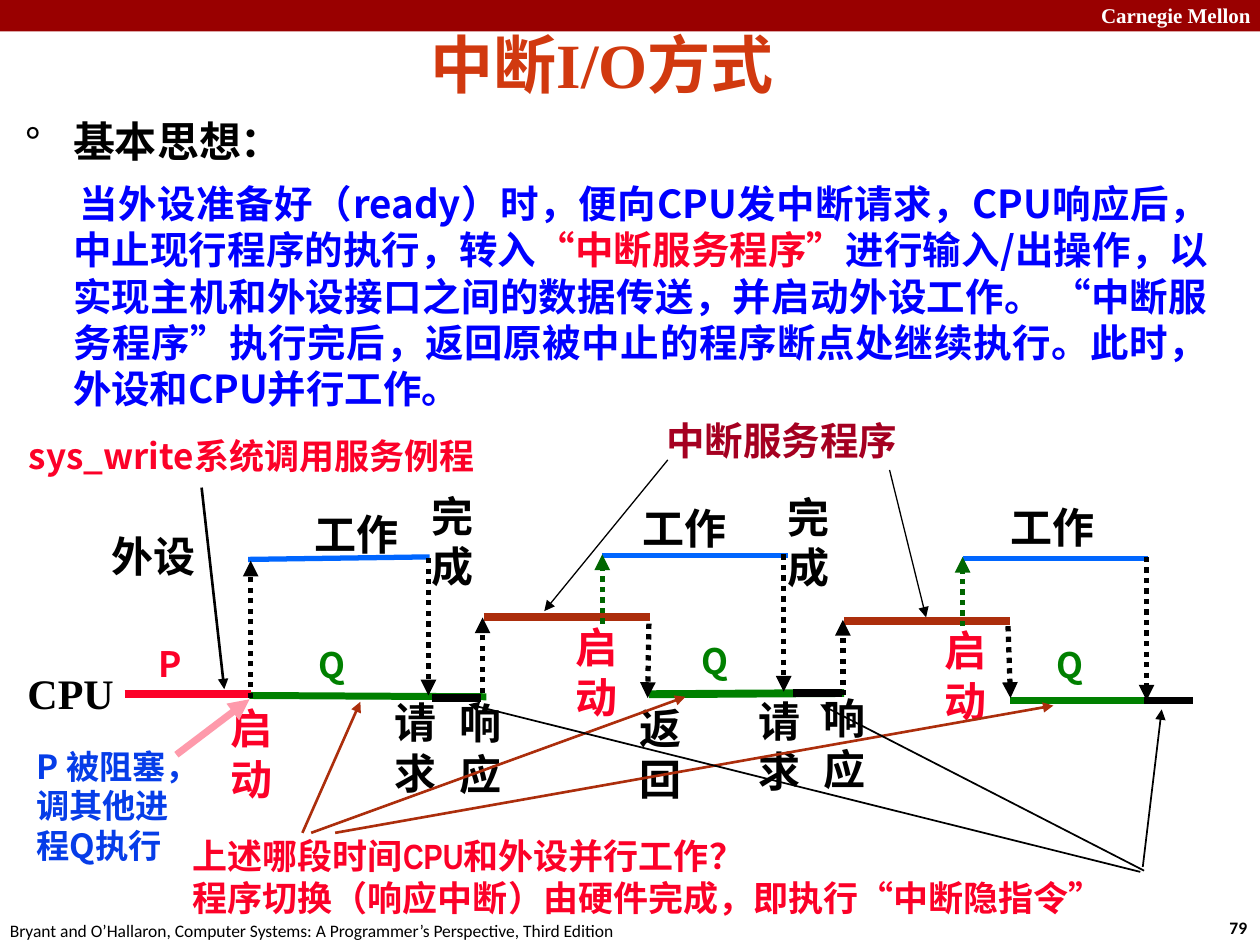
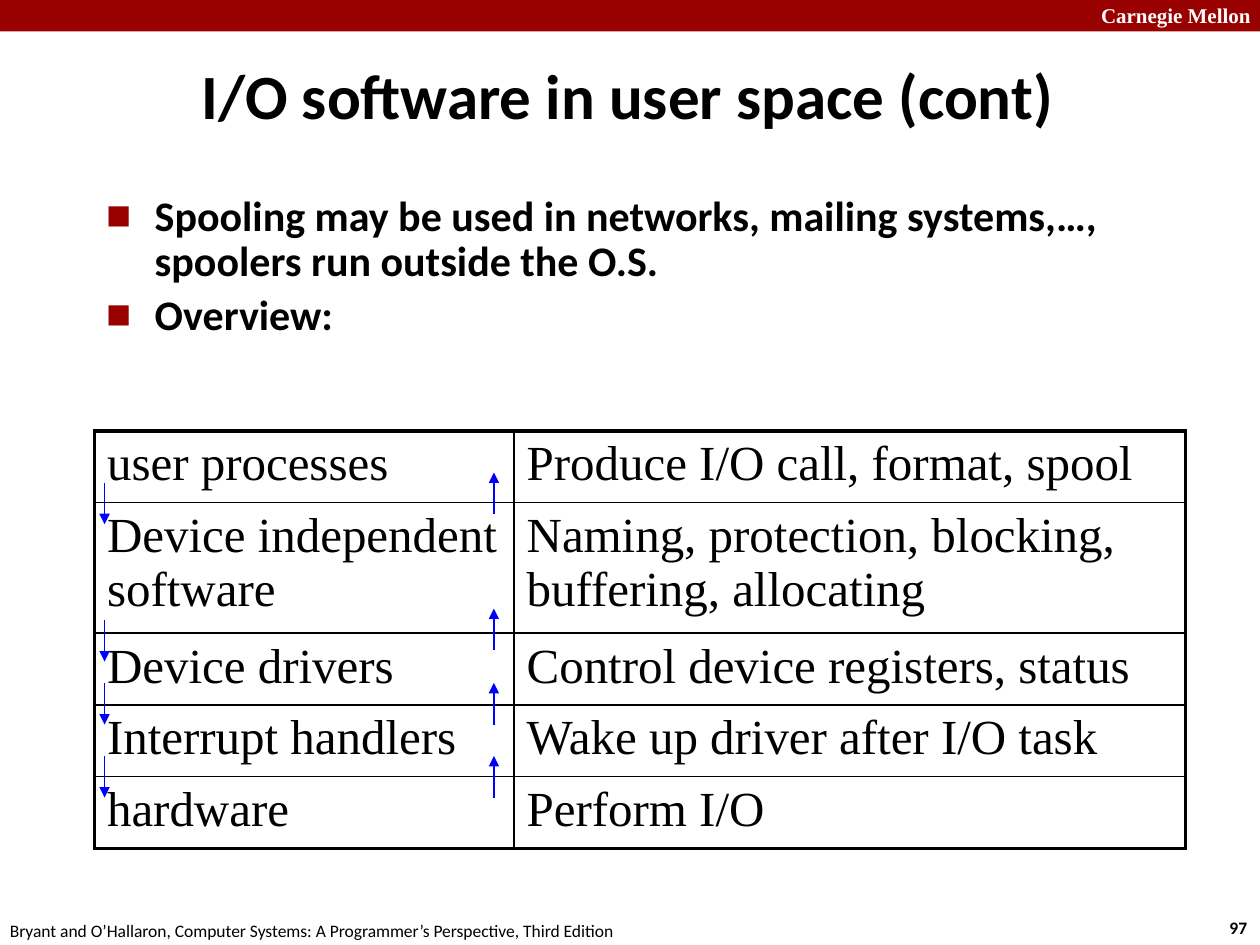
from dataclasses import dataclass

from lxml import etree
from pptx import Presentation
from pptx.dml.color import RGBColor
from pptx.enum.dml import MSO_LINE
from pptx.enum.shapes import MSO_CONNECTOR, MSO_SHAPE
from pptx.enum.text import MSO_ANCHOR, PP_ALIGN
from pptx.oxml.ns import qn
from pptx.util import Inches, Pt

STRAIGHT = MSO_CONNECTOR.STRAIGHT
RECTANGLE = MSO_SHAPE.RECTANGLE
DOTTED = MSO_LINE.ROUND_DOT
TOP, MIDDLE = MSO_ANCHOR.TOP, MSO_ANCHOR.MIDDLE
JUSTIFY = PP_ALIGN.JUSTIFY


@dataclass(frozen=True)
class Theme:
    band: str = "990000"
    white: str = "FFFFFF"
    black: str = "000000"
    title: str = "D1390F"
    red: str = "FC0128"
    blue: str = "0000FF"
    device: str = "0066FF"
    note: str = "063DE8"
    green: str = "008000"
    restart: str = "006600"
    service: str = "AC2E0C"
    service_label: str = "A50021"
    pink: str = "FE9AAB"
    serif: str = "Times New Roman"
    sans: str = "Calibri"
    narrow: str = "Arial Narrow"
    cjk: str = "Noto Sans CJK SC"
    title_size: float = 36
    table_size: float = 28
    label_size: float = 24
    body_size: float = 22
    caption_size: float = 20
    note_size: float = 19
    brand_size: float = 12
    footer_size: float = 10


THEME = Theme()


# Text
def add_run(paragraph, words, size, color, font, bold=True):
    run = paragraph.add_run()
    run.text = words
    run.font.size = Pt(size)
    run.font.bold = bold
    run.font.name = font
    run.font.color.rgb = RGBColor.from_string(color)
    latin = run.font._element.find(qn("a:latin"))
    east_asian = etree.Element(qn("a:ea"), typeface=THEME.cjk)
    latin.addnext(east_asian)


def add_frame(slide, box, anchor=TOP, wrap=True):
    frame = slide.shapes.add_textbox(*map(Inches, box)).text_frame
    frame.word_wrap = wrap
    frame.vertical_anchor = anchor
    return frame


def next_paragraph(frame):
    first = frame.paragraphs[0]
    return frame.add_paragraph() if first.runs else first


def add_label(slide, box, lines, size=THEME.label_size, color=THEME.black,
              font=THEME.serif, bold=True, anchor=TOP, wrap=True):
    frame = add_frame(slide, box, anchor, wrap)
    for words in lines.split("\n"):
        paragraph = next_paragraph(frame)
        if not words.isascii():
            paragraph.line_spacing = Pt(size * 1.2)
        add_run(paragraph, words, size, color, font, bold)


def set_indent(paragraph, first_line, left=0.38):
    properties = paragraph._p.get_or_add_pPr()
    properties.set("marL", str(Inches(left)))
    properties.set("indent", str(Inches(first_line)))
    return properties


def add_bullet(paragraph, mark, color=None, percent=None):
    properties = set_indent(paragraph, -0.38)
    if color:
        holder = etree.SubElement(properties, qn("a:buClr"))
        etree.SubElement(holder, qn("a:srgbClr"), val=color)
    if percent:
        etree.SubElement(properties, qn("a:buSzPct"), val=str(percent * 1000))
    etree.SubElement(properties, qn("a:buFont"), typeface=THEME.cjk)
    etree.SubElement(properties, qn("a:buChar"), char=mark)


# Lines
def add_line(slide, start, end, color, width, arrow=False, dotted=False):
    connector = slide.shapes.add_connector(STRAIGHT, *map(Inches, start + end))
    connector.line.color.rgb = RGBColor.from_string(color)
    connector.line.width = Pt(width)
    if dotted:
        connector.line.dash_style = DOTTED
    if arrow:
        etree.SubElement(connector.line._get_or_add_ln(), qn("a:tailEnd"), type="triangle")
    etree.SubElement(connector._element.spPr, qn("a:effectLst"))


# Table
def set_borders(cell, widths):
    properties = cell._tc.get_or_add_tcPr()
    for side, width in zip("LRTB", widths):
        edge = etree.SubElement(properties, qn(f"a:ln{side}"), w=str(Pt(width)))
        fill = etree.SubElement(edge, qn("a:solidFill"))
        etree.SubElement(fill, qn("a:srgbClr"), val=THEME.black)


def add_layer_table(slide, left, top, widths, heights, rows):
    frame = slide.shapes.add_table(len(rows), len(widths), Inches(left), Inches(top),
                                   Inches(sum(widths)), Inches(sum(heights)))
    table = frame.table
    table.first_row = table.horz_banding = False
    for column, width in zip(table.columns, widths):
        column.width = Inches(width)
    for row, height in zip(table.rows, heights):
        row.height = Inches(height)
    last_row, last_column = len(rows) - 1, len(widths) - 1
    for r, row in enumerate(rows):
        for c, words in enumerate(row):
            cell = table.cell(r, c)
            outer = (c == 0, c == last_column, r == 0, r == last_row)
            set_borders(cell, [2.25 if edge else 1 for edge in outer])
            cell.fill.background()
            add_run(cell.text_frame.paragraphs[0], words, THEME.table_size,
                    THEME.black, THEME.serif, False)


# Shared band and footer
def new_slide(deck, number):
    slide = deck.slides.add_slide(deck.slide_layouts[6])
    band = slide.shapes.add_shape(RECTANGLE, 0, 0, deck.slide_width, Inches(0.25))
    band.shadow.inherit = False
    band.fill.solid()
    band.fill.fore_color.rgb = RGBColor.from_string(THEME.band)
    band.line.fill.background()
    add_label(slide, (8.64, -0.03, 1.43, 0.3), "Carnegie Mellon", THEME.brand_size, THEME.white)
    add_label(slide, (9.66, 7.23, 0.37, 0.27), str(number), THEME.footer_size,
              font=THEME.sans, wrap=False)
    add_label(slide, (-0.02, 7.25, 5.08, 0.27),
              "Bryant and O’Hallaron, Computer Systems: A Programmer’s Perspective, Third Edition",
              THEME.footer_size, font=THEME.sans, bold=False, wrap=False)
    return slide


def add_title(slide, box, words, color, font):
    add_label(slide, box, words, THEME.title_size, color, font, anchor=MIDDLE)


# Interrupt slide
def add_basic_idea(slide):
    frame = add_frame(slide, (0.13, 0.89, 9.53, 2.4))
    frame.margin_left = frame.margin_right = Inches(0.07)
    frame.margin_top = frame.margin_bottom = Inches(0.03)
    heading = next_paragraph(frame)
    add_bullet(heading, "°")
    heading.line_spacing = Pt(THEME.label_size * 1.2)
    add_run(heading, "基本思想：", THEME.label_size, THEME.black, THEME.cjk)

    explanation = next_paragraph(frame)
    set_indent(explanation, 0.05)
    explanation.alignment = JUSTIFY
    explanation.space_before = Pt(8)
    explanation.line_spacing = Pt(THEME.body_size * 1.2)
    for words, color in (
        ("当外设准备好（ready）时，便向CPU发中断请求，CPU响应后，中止现行程序的执行，转入", THEME.blue),
        ("“中断服务程序”", THEME.red),
        ("进行输入/出操作，以实现主机和外设接口之间的数据传送，并启动外设工作。 "
         "“中断服务程序”执行完后，返回原被中止的程序断点处继续执行。"
         "此时，外设和CPU并行工作。", THEME.blue),
    ):
        add_run(explanation, words, THEME.body_size, color, THEME.cjk)


def add_timeline(slide):
    # Busy periods of the processor, the device and the service routine
    for start, end, color, width in (
        ((1.98, 5.52), (3.86, 5.53), THEME.green, 4),
        ((0.99, 5.51), (1.99, 5.51), THEME.red, 4.5),
        ((5.15, 5.51), (6.7, 5.5), THEME.green, 4.5),
        ((8.02, 5.56), (9.41, 5.56), THEME.green, 4.5),
        ((1.97, 4.44), (3.41, 4.42), THEME.device, 3),
        ((4.78, 4.41), (6.25, 4.41), THEME.device, 3),
        ((7.64, 4.43), (9.11, 4.43), THEME.device, 3),
        ((3.84, 4.9), (5.16, 4.9), THEME.service, 4.5),
        ((6.7, 4.93), (8.02, 4.93), THEME.service, 4.5),
    ):
        add_line(slide, start, end, color, width)
    # Hardware response to each request
    for left, y in ((3.43, 5.54), (6.29, 5.5), (9.08, 5.56)):
        add_line(slide, (left, y), (left + 0.39, y), THEME.black, 4.5)
    # Switches between the levels
    for start, end, color in (
        ((1.99, 5.54), (1.99, 4.45), THEME.black),
        ((3.4, 4.43), (3.4, 5.52), THEME.black),
        ((3.83, 5.5), (3.83, 4.9), THEME.black),
        ((4.78, 4.95), (4.78, 4.4), THEME.restart),
        ((5.15, 4.95), (5.14, 5.54), THEME.black),
        ((6.22, 4.4), (6.22, 5.49), THEME.black),
        ((6.69, 5.52), (6.69, 4.92), THEME.black),
        ((7.64, 4.97), (7.64, 4.42), THEME.restart),
        ((8, 4.97), (8.02, 5.54), THEME.black),
        ((9.1, 4.42), (9.1, 5.56), THEME.black),
    ):
        add_line(slide, start, end, color, 3, arrow=True, dotted=True)


def add_timeline_labels(slide):
    add_label(slide, (0.79, 4.16, 0.94, 0.5), "外设")
    add_label(slide, (0.12, 5.25, 0.94, 0.5), "CPU")
    for left, top in ((2.4, 3.99), (5, 3.94), (7.92, 3.93)):
        add_label(slide, (left, top, 1.16, 0.5), "工作")
    # Two-character events stand one character to a line
    for words, width, color, places in (
        ("完成", 0.5, THEME.black, ((3.33, 3.84), (6.15, 3.85))),
        ("启动", 0.54, THEME.red, ((1.73, 5.53), (4.47, 4.88), (7.4, 4.91))),
        ("请求", 0.57, THEME.black, ((3.03, 5.48), (5.92, 5.47))),
        ("响应", 0.57, THEME.black, ((3.55, 5.49), (6.44, 5.45))),
        ("返回", 0.57, THEME.black, ((4.98, 5.53),)),
    ):
        for left, top in places:
            add_label(slide, (left, top, width, 0.9), words, color=color)
    for left, top in ((2.43, 5.06), (5.47, 5.03), (8.29, 5.06)):
        add_label(slide, (left, top, 0.68, 0.43), "Q", THEME.caption_size, THEME.green, THEME.cjk)
    add_label(slide, (1.16, 5.05, 0.49, 0.43), "P", THEME.caption_size, THEME.red, THEME.cjk)


def add_callouts(slide):
    for start, end, color, width in (
        ((5.3, 3.65), (4.32, 4.85), THEME.black, 0.75),
        ((7.06, 3.73), (7.35, 4.9), THEME.black, 0.75),
        ((2.4, 6.61), (2.86, 5.57), THEME.service, 1.5),
        ((2.47, 6.61), (5.44, 5.53), THEME.service, 1.5),
        ((2.66, 6.61), (8.36, 5.6), THEME.service, 1.5),
        ((9.07, 6.88), (9.22, 5.63), THEME.black, 1),
        ((9.05, 6.92), (3.72, 5.59), THEME.black, 1),
        ((9.08, 6.91), (6.51, 5.59), THEME.black, 1),
        ((1.6, 3.87), (1.78, 5.47), THEME.black, 1.5),
        ((1.4, 5.99), (1.98, 5.55), THEME.pink, 4),
    ):
        add_line(slide, start, end, color, width, arrow=True)
    add_label(slide, (0.13, 3.4, 3.77, 0.43), "sys_write系统调用服务例程",
              THEME.caption_size, THEME.red, THEME.cjk)
    add_label(slide, (5.19, 3.26, 2.78, 0.47), "中断服务程序", THEME.body_size, THEME.service_label)
    add_label(slide, (0.19, 5.87, 1.51, 1.05), "P 被阻塞，调其他进程Q执行",
              THEME.note_size, THEME.note, THEME.cjk)
    add_label(slide, (1.43, 6.57, 8.41, 0.77),
              "上述哪段时间CPU和外设并行工作？\n程序切换（响应中断）由硬件完成，即执行“中断隐指令”",
              THEME.caption_size, THEME.red, THEME.narrow)


def build_interrupt_slide(deck):
    slide = new_slide(deck, 79)
    add_title(slide, (3.32, 0.15, 5.69, 0.71), "中断I/O方式", THEME.title, THEME.serif)
    add_basic_idea(slide)
    add_timeline(slide)
    add_timeline_labels(slide)
    add_callouts(slide)


# Software layers slide
def build_layers_slide(deck):
    slide = new_slide(deck, 97)
    add_title(slide, (1.5, 0.25, 8.5, 1), "I/O software in user space (cont)",
              THEME.black, THEME.sans)
    points = add_frame(slide, (0.75, 1.5, 8.5, 1.75))
    for words, gap in (
        ("Spooling may be used in networks, mailing systems,…, spoolers run outside the O.S.", 0),
        ("Overview:", 5),
    ):
        point = next_paragraph(points)
        add_bullet(point, "■", THEME.band, 60)
        point.line_spacing = 0.9
        point.space_before = Pt(gap)
        add_run(point, words, THEME.label_size, THEME.black, THEME.sans)

    add_layer_table(slide, 0.75, 3.42, (3.33, 5.33), (0.57, 1.03, 0.57, 0.57, 0.57), (
        ("user processes", "Produce I/O call, format, spool"),
        ("Device independent software", "Naming, protection, blocking, buffering, allocating"),
        ("Device drivers", "Control device registers, status"),
        ("Interrupt handlers", "Wake up driver after I/O task"),
        ("hardware", "Perform I/O"),
    ))
    # Requests go down, replies come up
    for request_top, reply_top in ((3.83, 3.75), (4.92, 4.83), (5.42, 5.42), (6, 6)):
        add_line(slide, (0.83, request_top), (0.83, request_top + 0.33), THEME.blue, 0.75, True)
        add_line(slide, (3.92, reply_top + 0.33), (3.92, reply_top), THEME.blue, 0.75, True)


def main():
    deck = Presentation()
    deck.slide_width, deck.slide_height = Inches(10), Inches(7.5)
    build_interrupt_slide(deck)
    build_layers_slide(deck)
    deck.save("out.pptx")


if __name__ == "__main__":
    main()
